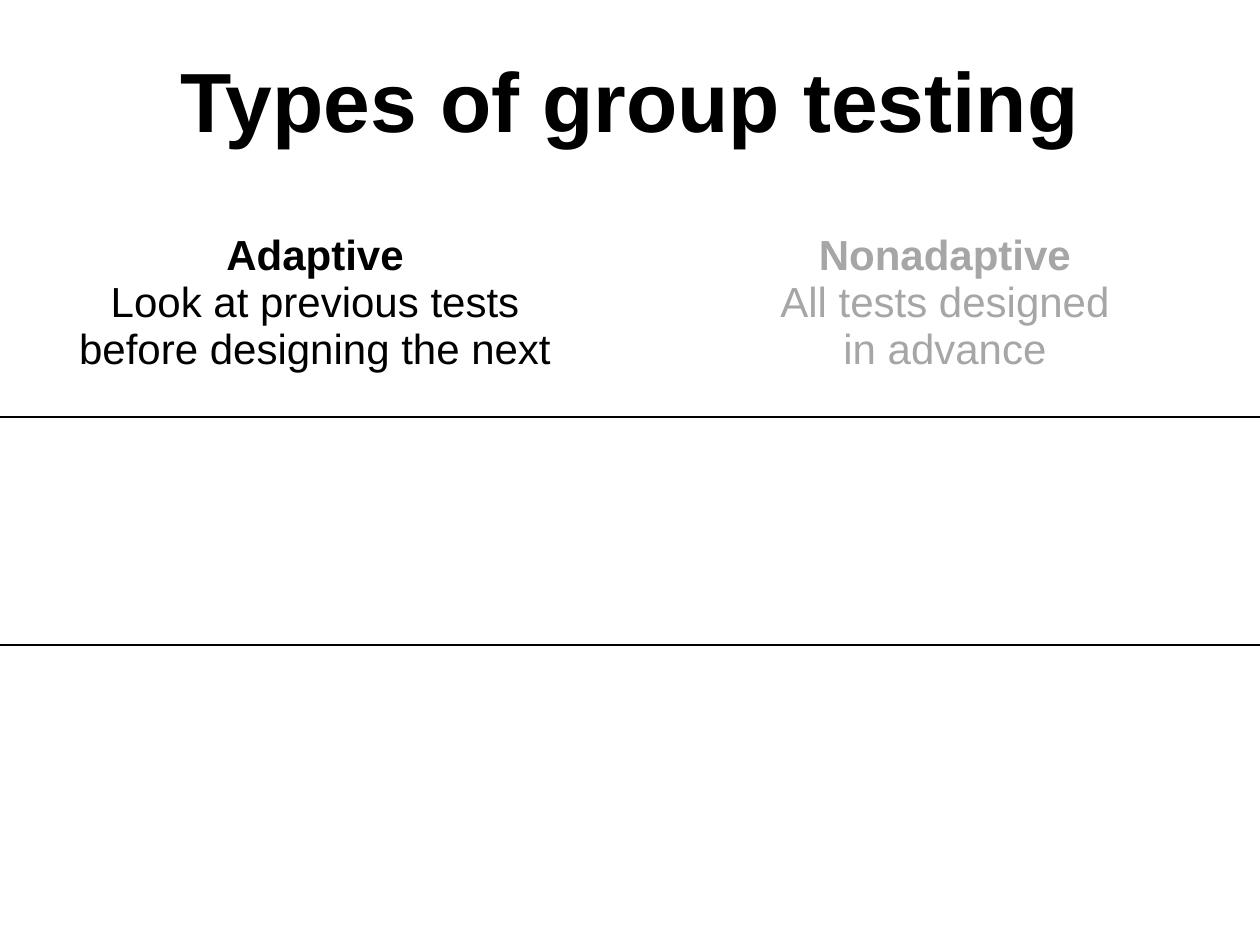
"""Build a slide that contrasts adaptive and nonadaptive group testing."""
from dataclasses import dataclass

import lxml.etree
import pptx
import pptx.dml.color
import pptx.enum.text
import pptx.oxml.ns
import pptx.util

Pt = pptx.util.Pt
qn = pptx.oxml.ns.qn
BLACK = "000000"
GREY = "A6A6A6"
NO_STYLE = "{2D5ABB26-0587-4C30-8999-92F81FD0307C}"
COLUMN_WIDTHS = (240, 120, 120, 240)
ROW_HEIGHT = 130.32
MERGES = ((0, 0, 1), (0, 2, 3), (1, 0, 1), (1, 2, 3), (2, 1, 2))


@dataclass(frozen=True)
class TestingType:
    column: int
    name: str
    lines: tuple[str, ...]
    color: str


TESTING_TYPES = (
    TestingType(0, "Adaptive", ("Look at previous tests", "before designing the next"), BLACK),
    TestingType(2, "Nonadaptive", ("All tests designed", "in advance"), GREY),
)


def rgb(color: str) -> pptx.dml.color.RGBColor:
    return pptx.dml.color.RGBColor.from_string(color)


def write_lines(paragraph, lines: tuple[str, ...], size: float, color: str, bold: bool) -> None:
    paragraph.alignment = pptx.enum.text.PP_ALIGN.CENTER
    for index, line in enumerate(lines):
        if index:
            paragraph.add_line_break()
        run = paragraph.add_run()
        run.text = line
        font_format = {"name": "Arial", "size": Pt(size), "bold": bold}
        for attribute, value in font_format.items():
            setattr(run.font, attribute, value)
        run.font.color.rgb = rgb(color)


def add_title(slide, text: str) -> None:
    shape = slide.shapes.add_textbox(Pt(49.5), Pt(28.8), Pt(621), Pt(62.64))
    frame_format = {
        "word_wrap": True,
        "vertical_anchor": pptx.enum.text.MSO_ANCHOR.MIDDLE,
    }
    for attribute, value in frame_format.items():
        setattr(shape.text_frame, attribute, value)
    paragraph = shape.text_frame.paragraphs[0]
    paragraph.line_spacing = 0.9
    write_lines(paragraph, (text,), 48, BLACK, True)


def set_border(cell, side: str, color: str) -> None:
    properties = cell._tc.get_or_add_tcPr()
    line = lxml.etree.Element(qn(f"a:{side}"), w=str(Pt(1)))
    fill = lxml.etree.SubElement(line, qn("a:solidFill"))
    lxml.etree.SubElement(fill, qn("a:srgbClr"), val=color)
    borders = [child for child in properties if child.tag in (qn("a:lnT"), qn("a:lnB"))]
    properties.insert(len(borders), line)


def add_table(slide):
    row_count = 3
    frame = slide.shapes.add_table(
        row_count, len(COLUMN_WIDTHS), Pt(0), Pt(108),
        Pt(sum(COLUMN_WIDTHS)), Pt(row_count * ROW_HEIGHT),
    )
    table = frame.table
    for flag in ("first_row", "horz_banding"):
        setattr(table, flag, False)
    table._tbl.tblPr.find(qn("a:tableStyleId")).text = NO_STYLE
    for column, width in zip(table.columns, COLUMN_WIDTHS):
        column.width = Pt(width)
    for index, row in enumerate(table.rows):
        row.height = Pt(ROW_HEIGHT)
        for cell in row.cells:
            cell.fill.background()
            if index == 1:
                set_border(cell, "lnT", BLACK)
            if index < row_count - 1:
                set_border(cell, "lnB", BLACK)
    for row, first, last in MERGES:
        table.cell(row, first).merge(table.cell(row, last))
    return table


def fill_heading(table, testing_type: TestingType) -> None:
    cell = table.cell(0, testing_type.column)
    cell.vertical_anchor = pptx.enum.text.MSO_ANCHOR.MIDDLE
    frame = cell.text_frame
    write_lines(frame.paragraphs[0], (testing_type.name,), 24, testing_type.color, True)
    write_lines(frame.add_paragraph(), testing_type.lines, 24, testing_type.color, False)


def main() -> None:
    presentation = pptx.Presentation()
    presentation.slide_width = Pt(720)
    presentation.slide_height = Pt(540)
    slide = presentation.slides.add_slide(presentation.slide_layouts[6])
    add_title(slide, "Types of group testing")
    table = add_table(slide)
    for testing_type in TESTING_TYPES:
        fill_heading(table, testing_type)
    presentation.save("out.pptx")


if __name__ == "__main__":
    main()
